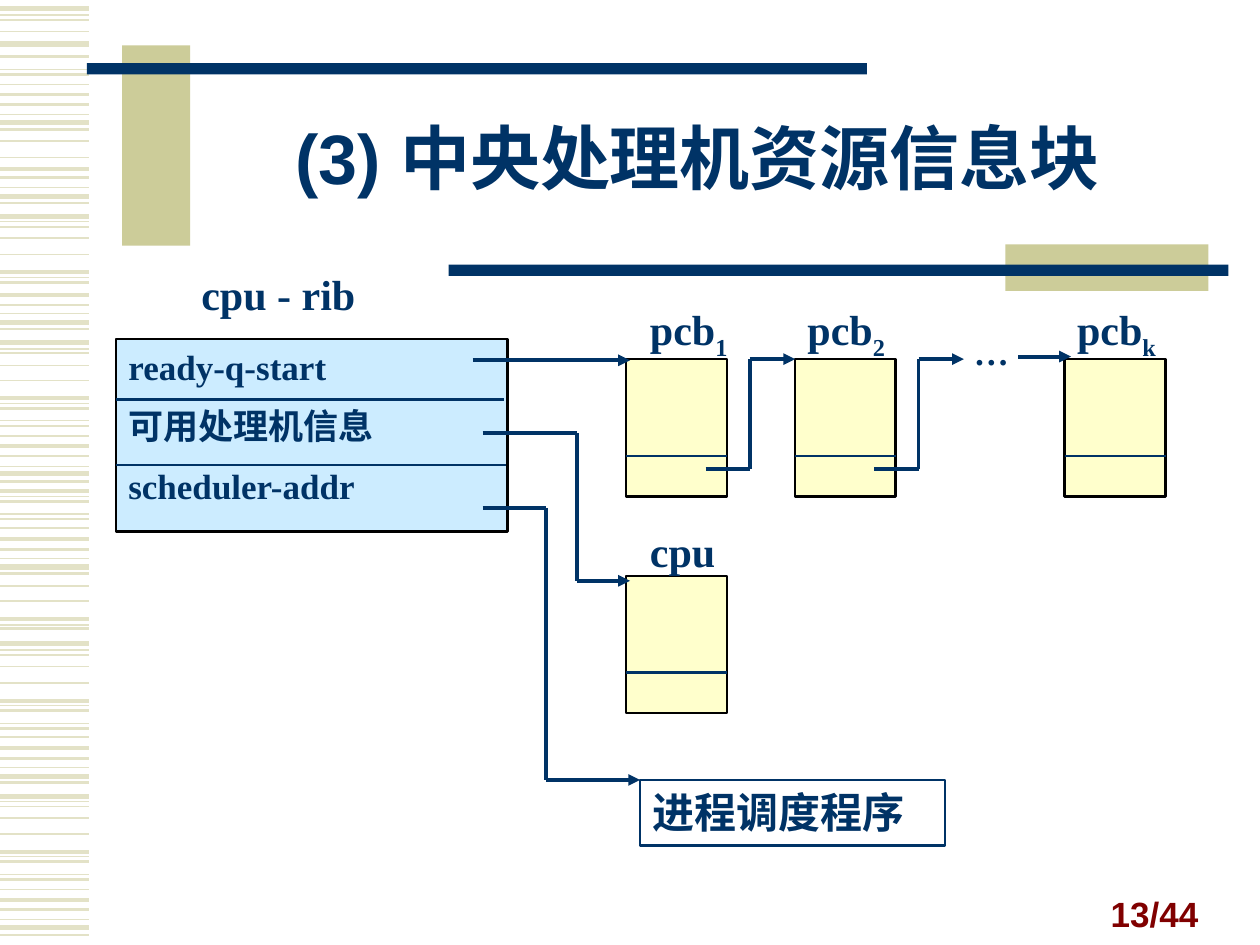
"""Build a slide on the CPU resource information block and its linked queues."""
from dataclasses import dataclass
from itertools import pairwise
from typing import Any, Optional

from lxml import etree
from pptx import Presentation
from pptx import util as u
from pptx.dml.color import RGBColor
from pptx.enum import shapes, text
from pptx.oxml.ns import qn


@dataclass(frozen=True)
class Theme:
    """Colours, fonts, type sizes and line widths."""
    navy: str = "003366"
    khaki: str = "CCCC99"
    stripe: str = "E3E2C7"
    sky: str = "CCECFF"
    cream: str = "FFFFCC"
    black: str = "000000"
    maroon: str = "800000"
    serif: str = "Times New Roman"
    sans: str = "Arial"
    title: int = 40
    label: int = 24
    body: int = 20
    thin: float = 1.5
    thick: float = 2.25


@dataclass(frozen=True)
class Box:
    """A rectangle with optional fill and outline."""
    left: float
    top: float
    width: float
    height: float
    fill: Optional[str] = None
    line: Optional[str] = None


@dataclass(frozen=True)
class Block:
    """A control block with its label."""
    left: float
    top: float
    label: str
    label_left: float
    label_width: float
    sub: str = ""


@dataclass(frozen=True)
class Route:
    """A run of straight segments."""
    points: tuple
    arrow: bool = True
    width: float = 2.25
    color: str = "003366"


T = Theme()
PP = text.PP_ALIGN
GROW = {"auto_size": text.MSO_AUTO_SIZE.SHAPE_TO_FIT_TEXT}
BLOCK_W, BLOCK_H, DIVIDER = 0.8, 1.09, 0.77
STRIPE_W = 0.71

STRIPES = {
    3: (0.07, 0.35, 0.97, 1.56, 1.72, 2.56, 2.72, 3.76, 4.5, 5.11, 6.16, 6.32, 7.36),
    2.25: (0.75, 1.34, 2.16, 2.34, 3.16, 3.54, 3.9, 4.28, 4.91, 5.56, 5.94, 6.76, 7.14),
    1.5: (0.45, 0.59, 0.83, 1.03, 1.41, 1.61, 2.24, 2.42, 2.61, 3.24, 3.38, 3.62, 3.82,
          3.98, 4.12, 4.36, 4.55, 4.99, 5.64, 5.78, 6.02, 6.21, 6.84, 6.98, 7.22, 7.42),
    1: (0.16, 0.25, 0.67, 1.12, 1.25, 1.8, 1.89, 2.02, 2.8, 2.9, 3.02, 3.46, 4.19,
        4.65, 4.77, 5.2, 5.29, 5.42, 5.85, 6.4, 6.49, 6.62, 7.06),
    0.75: (0.12, 0.55, 0.91, 1.49, 1.76, 2.2, 2.49, 2.77, 3.2, 3.34, 3.7, 3.94, 4.08,
           4.43, 4.96, 5.16, 5.6, 5.74, 6.09, 6.36, 6.8, 6.94, 7.3),
}
BARS = (
    Box(0.97, 0.36, 0.54, 1.59, T.khaki),
    Box(0.69, 0.5, 6.19, 0.09, T.navy),
    Box(7.98, 1.94, 1.61, 0.37, T.khaki),
    Box(3.56, 2.1, 6.19, 0.09, T.navy),
)
BLOCKS = (
    Block(4.97, 2.85, "pcb", 5.06, 0.89, "1"),
    Block(6.31, 2.85, "pcb", 6.31, 0.89, "2"),
    Block(8.45, 2.85, "pcb", 8.45, 0.89, "k"),
    Block(4.97, 4.57, "cpu", 5.06, 0.99),
)
ROUTES = (
    Route(((0.92, 3.17), (4, 3.17)), False, T.thin),
    Route(((0.92, 3.69), (4.02, 3.69)), False, T.thin),
    *(Route(((x, 3.72), (x + 0.35, 3.72), (x + 0.35, 2.85), (x + 0.71, 2.85)))
      for x in (5.6, 6.94)),
    Route(((8.08, 2.83), (8.5, 2.83))),
    Route(((3.75, 2.86), (5, 2.86))),
    Route(((3.83, 3.44), (4.58, 3.44), (4.58, 4.61), (5, 4.61))),
    Route(((3.83, 4.03), (4.33, 4.03), (4.33, 6.19), (5.08, 6.19))),
)


def assign(obj: Any, values: dict) -> None:
    """Set each named attribute on the object."""
    for name, value in values.items():
        setattr(obj, name, value)


def place(sp: Any, box: Box) -> None:
    """Move and size a shape to the box."""
    for name in ("left", "top", "width", "height"):
        setattr(sp, name, u.Inches(getattr(box, name)))


def write(sp: Any, lines: list, size: int = T.label, font: str = T.serif,
          color: str = T.navy, align: Any = PP.LEFT, frame: Optional[dict] = None,
          para: Optional[dict] = None, sub: str = "") -> None:
    """Fill a shape with bold paragraphs and an optional subscript."""
    tf = sp.text_frame
    assign(tf, {"word_wrap": True, "vertical_anchor": text.MSO_ANCHOR.TOP, **(frame or {})})
    for i, line in enumerate(lines):
        p = tf.add_paragraph() if i else tf.paragraphs[0]
        gap = u.Pt(size / 2) if i else u.Pt(0)
        assign(p, {"alignment": align, "space_before": gap, **(para or {})})
        for part in filter(None, (line, sub)):
            r = p.add_run()
            r.text = part
            assign(r.font, {"size": u.Pt(size), "name": font, "bold": True})
            r.font.color.rgb = RGBColor.from_string(color)
    if sub:
        r.font._element.set("baseline", "-25000")


def add_box(s: Any, box: Box) -> Any:
    """Draw a rectangle."""
    sp = s.shapes.add_shape(shapes.MSO_SHAPE.RECTANGLE, 0, 0, 0, 0)
    place(sp, box)
    sp.shadow.inherit = False
    for fill, color in ((sp.fill, box.fill), (sp.line.fill, box.line)):
        if color:
            fill.solid()
            fill.fore_color.rgb = RGBColor.from_string(color)
        else:
            fill.background()
    if box.line:
        sp.line.width = u.Pt(T.thin)
    return sp


def add_label(s: Any, box: Box, line: str, **fmt: Any) -> None:
    """Draw a text box."""
    sp = s.shapes.add_textbox(0, 0, 0, 0)
    place(sp, box)
    write(sp, [line], **fmt)


def add_route(s: Any, route: Route) -> None:
    """Draw a route as connectors, with an arrowhead on the last one."""
    for start, end in pairwise(route.points):
        c = s.shapes.add_connector(shapes.MSO_CONNECTOR.STRAIGHT,
                                   *(u.Inches(v) for v in (*start, *end)))
        c.line.color.rgb = RGBColor.from_string(route.color)
        c.line.width = u.Pt(route.width)
        etree.SubElement(c._element.spPr, qn("a:effectLst"))
    if route.arrow:
        etree.SubElement(c.line._get_or_add_ln(), qn("a:tailEnd"), type="triangle")


def add_block(s: Any, block: Block) -> None:
    """Draw a control block, its divider and its label."""
    add_box(s, Box(block.left, block.top, BLOCK_W, BLOCK_H, T.cream, T.black))
    y = block.top + DIVIDER
    add_route(s, Route(((block.left, y), (block.left + BLOCK_W, y)), False, T.thin))
    label_top = 2.36 if block.sub else 4.12
    add_label(s, Box(block.label_left, label_top, block.label_width, 0.5),
              block.label, sub=block.sub, frame=GROW)


def main() -> None:
    """Build and save the slide."""
    prs = Presentation()
    assign(prs, {"slide_width": u.Inches(10), "slide_height": u.Inches(7.5)})
    s = prs.slides.add_slide(prs.slide_layouts[5])
    for width, tops in STRIPES.items():
        for y in tops:
            add_route(s, Route(((0, y), (STRIPE_W, y)), False, width, T.stripe))
    for bar in BARS:
        add_box(s, bar)
    title = s.shapes.title
    place(title, Box(1.5, 0.67, 8.07, 1.25))
    write(title, ["(3) 中央处理机资源信息块"], T.title, T.sans, align=PP.CENTER,
          frame={"vertical_anchor": text.MSO_ANCHOR.MIDDLE,
                 "auto_size": text.MSO_AUTO_SIZE.NONE}, para={"line_spacing": 0.85})
    rib = add_box(s, Box(0.92, 2.69, 3.11, 1.53, T.sky, T.black))
    write(rib, ["ready-q-start", "可用处理机信息", "scheduler-addr"], T.body, align=PP.JUSTIFY)
    add_label(s, Box(7.6, 2.57, 0.56, 0.43), "…", size=T.body, align=PP.JUSTIFY,
              frame={"margin_left": u.Inches(0.13)})
    for block in BLOCKS:
        add_block(s, block)
    scheduler = add_box(s, Box(5.08, 6.19, 2.42, 0.52, line=T.navy))
    write(scheduler, ["进程调度程序"], frame=GROW)
    for route in ROUTES:
        add_route(s, route)
    add_label(s, Box(1.5, 2.08, 1.94, 0.5), "cpu - rib", frame=GROW)
    add_label(s, Box(7.21, 6.97, 2.4, 0.5), "13/44", size=T.body, font=T.sans,
              color=T.maroon, align=PP.RIGHT,
              frame={"vertical_anchor": text.MSO_ANCHOR.BOTTOM})
    prs.save("out.pptx")


if __name__ == "__main__":
    main()
